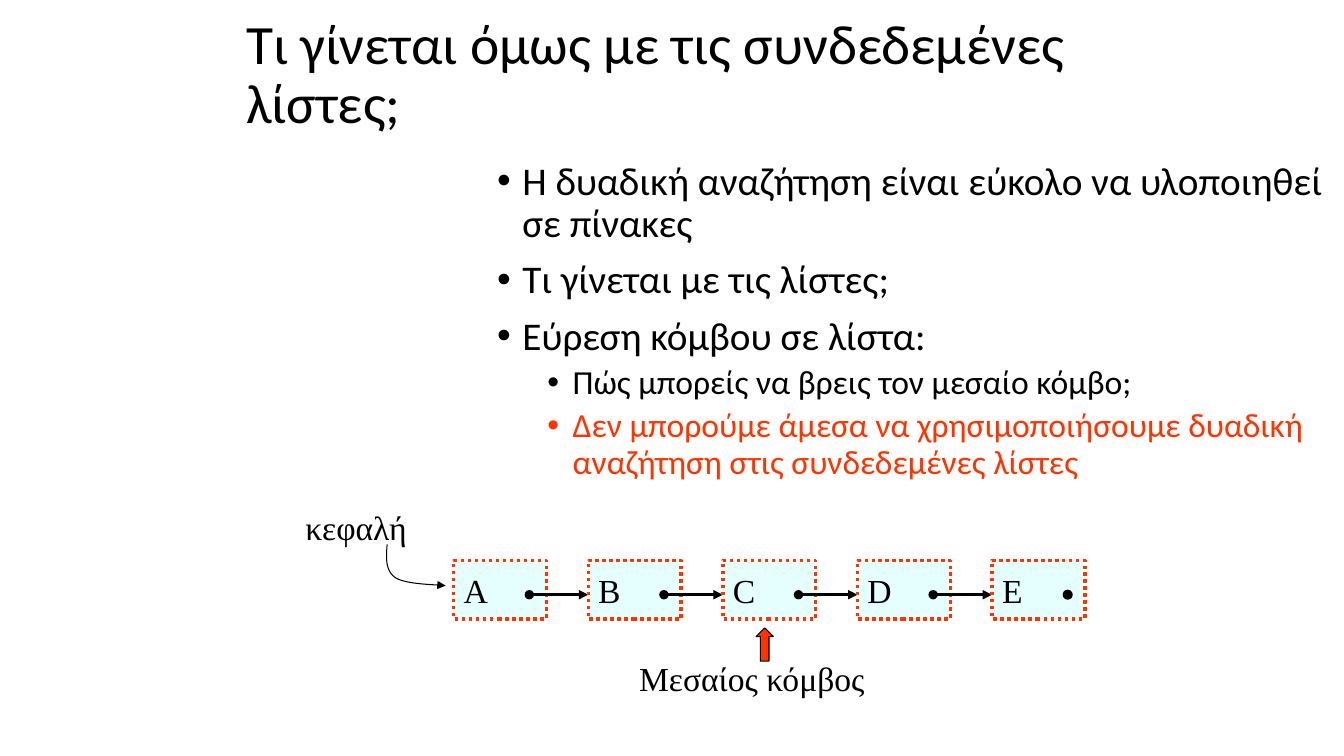
from dataclasses import dataclass

from lxml import etree
from pptx import Presentation
from pptx import util as u
from pptx.dml.color import RGBColor
from pptx.enum import dml, shapes, text
from pptx.oxml import ns

BLACK = RGBColor(0x00, 0x00, 0x00)
RED = RGBColor(0xFF, 0x33, 0x00)
CYAN = RGBColor(0xCC, 0xFF, 0xFF)
SANS, SERIF = "Calibri", "Times New Roman"

NODES = "ABCDE"
NODE_LEFT, LAST_NODE_LEFT, NODE_TOP = 4.5, 9.84, 5.56
NODE_STEP = (LAST_NODE_LEFT - NODE_LEFT) / (len(NODES) - 1)
NODE_W, NODE_H = 0.92, 0.58
POINTER_OFFSET, POINTER_Y = 0.75, 5.9
DOT_SIZE = 0.1


@dataclass
class Bullet:
    text: str
    level: int = 0
    color: RGBColor = BLACK


@dataclass
class Label:
    text: str
    left: float
    top: float
    width: float


BULLETS = [
    Bullet("Η δυαδική αναζήτηση είναι εύκολο να υλοποιηθεί σε πίνακες"),
    Bullet("Τι γίνεται με τις λίστες;"),
    Bullet("Εύρεση κόμβου σε λίστα:"),
    Bullet("Πώς μπορείς να βρεις τον μεσαίο κόμβο;", 1),
    Bullet("Δεν μπορούμε άμεσα να χρησιμοποιήσουμε δυαδική "
           "αναζήτηση στις συνδεδεμένες λίστες", 1, RED),
]
LABELS = [
    Label("κεφαλή", 2.93, 4.98, 1.4),
    Label("Μεσαίος κόμβος", 6.24, 6.48, 2.68),
]
HEAD_CURVES = [
    [(3.84, 5.4), (3.83, 5.53), (3.82, 5.66), (3.92, 5.73)],
    [(3.92, 5.73), (4.02, 5.8), (4.34, 5.8), (4.42, 5.81)],
]


def place(sp, left: float, top: float, width: float, height: float) -> None:
    sp.left, sp.top = u.Inches(left), u.Inches(top)
    sp.width, sp.height = u.Inches(width), u.Inches(height)


def format_text(p, font: str, size: float, color: RGBColor = BLACK) -> None:
    p.alignment = text.PP_ALIGN.LEFT
    for r in p.runs:
        r.font.name, r.font.size = font, u.Pt(size)
        r.font.color.rgb = color


def format_line(sp, width: float, color: RGBColor = BLACK) -> None:
    sp.line.color.rgb, sp.line.width = color, u.Pt(width)


def add_ends(sp, **ends: str) -> None:
    """Set headEnd and tailEnd shapes, in that order."""
    ln = sp.line._get_or_add_ln()
    for tag, kind in ends.items():
        etree.SubElement(ln, ns.qn(f"a:{tag}"), type=kind)


def add_bullet(p, level: int) -> None:
    pPr = p._p.get_or_add_pPr()
    pPr.set("marL", str(u.Inches(0.25 + 0.5 * level)))
    pPr.set("indent", str(u.Inches(-0.25)))
    etree.SubElement(pPr, ns.qn("a:buFont"), typeface="Arial")
    etree.SubElement(pPr, ns.qn("a:buChar"), char="•")


def add_filled(s, kind, fill: RGBColor, left: float, top: float,
               width: float, height: float):
    sp = s.shapes.add_shape(kind, 0, 0, 0, 0)
    place(sp, left, top, width, height)
    sp.shadow.inherit = False
    sp.fill.solid()
    sp.fill.fore_color.rgb = fill
    return sp


def add_node(s, name: str, left: float) -> None:
    sp = add_filled(s, shapes.MSO_SHAPE.RECTANGLE, CYAN,
                    left, NODE_TOP, NODE_W, NODE_H)
    srgb = sp.fill._xPr.find(".//" + ns.qn("a:srgbClr"))
    etree.SubElement(srgb, ns.qn("a:alpha"), val="50000")
    format_line(sp, 2.5, RED)
    sp.line.dash_style = dml.MSO_LINE.ROUND_DOT
    tf = sp.text_frame
    tf.text = name
    tf.vertical_anchor = text.MSO_ANCHOR.MIDDLE
    format_text(tf.paragraphs[0], SERIF, 24)


def add_pointer(s, start: float, end: float) -> None:
    y = u.Inches(POINTER_Y)
    line = s.shapes.add_connector(shapes.MSO_CONNECTOR.STRAIGHT,
                                  u.Inches(start), y, u.Inches(end), y)
    format_line(line, 2.25)
    add_ends(line, headEnd="oval", tailEnd="triangle")
    etree.SubElement(line._element.spPr, ns.qn("a:effectLst"))


def add_dot(s, center: float) -> None:
    dot = add_filled(s, shapes.MSO_SHAPE.OVAL, BLACK, center - DOT_SIZE / 2,
                     POINTER_Y - DOT_SIZE / 2, DOT_SIZE, DOT_SIZE)
    dot.line.fill.background()


def curve_points(curve: list, steps: int = 12) -> list:
    """Sample a cubic Bezier curve in EMU, leaving out its start."""
    points = []
    for t in (i / steps for i in range(1, steps + 1)):
        weights = ((1 - t) ** 3, 3 * t * (1 - t) ** 2, 3 * t * t * (1 - t), t ** 3)
        points.append(tuple(u.Inches(sum(w * pt[axis] for w, pt in zip(weights, curve)))
                            for axis in (0, 1)))
    return points


def add_label(s, label: Label) -> None:
    sp = s.shapes.add_textbox(0, 0, 0, 0)
    place(sp, label.left, label.top, label.width, 0.5)
    tf = sp.text_frame
    tf.word_wrap = True
    tf.text = label.text
    format_text(tf.paragraphs[0], SERIF, 24)


def main() -> None:
    prs = Presentation()
    prs.slide_width, prs.slide_height = u.Inches(13.33), u.Inches(7.5)
    s = prs.slides.add_slide(prs.slide_layouts[1])

    # Title
    title = s.shapes.title
    place(title, 2.34, 0.13, 8.5, 1.25)
    tf = title.text_frame
    tf.text = "Τι γίνεται όμως με τις συνδεδεμένες λίστες;"
    tf.auto_size = text.MSO_AUTO_SIZE.NONE
    tf.vertical_anchor = text.MSO_ANCHOR.MIDDLE
    tf.paragraphs[0].line_spacing = 0.9
    format_text(tf.paragraphs[0], SANS, 39.6)

    # Bulleted list
    body = s.placeholders[1]
    place(body, 4.83, 1.55, 8.5, 4.33)
    tf = body.text_frame
    tf.auto_size = text.MSO_AUTO_SIZE.NONE
    for i, bullet in enumerate(BULLETS):
        p = tf.add_paragraph() if i else tf.paragraphs[0]
        p.text, p.level = bullet.text, bullet.level
        add_bullet(p, bullet.level)
        p.line_spacing = 0.9
        p.space_before = u.Pt((5 if bullet.level else 10) if i else 0)
        format_text(p, SANS, 24 if bullet.level else 28, bullet.color)

    # Linked list nodes and pointers; the last node ends in a dot
    for i, name in enumerate(NODES):
        left = NODE_LEFT + i * NODE_STEP
        add_node(s, name, left)
        if i < len(NODES) - 1:
            add_pointer(s, left + POINTER_OFFSET, left + NODE_STEP)
        else:
            add_dot(s, left + POINTER_OFFSET)

    # Curved arrow from the head label
    x, y = HEAD_CURVES[0][0]
    builder = s.shapes.build_freeform(u.Inches(x), u.Inches(y))
    for curve in HEAD_CURVES:
        builder.add_line_segments(curve_points(curve), close=False)
    head_arrow = builder.convert_to_shape()
    head_arrow.shadow.inherit = False
    head_arrow.fill.background()
    format_line(head_arrow, 0.75)
    add_ends(head_arrow, tailEnd="triangle")

    # Arrow to the middle node
    middle = add_filled(s, shapes.MSO_SHAPE.UP_ARROW, RED, 7.5, 6.23, 0.17, 0.33)
    format_line(middle, 0.75)

    # Labels
    for label in LABELS:
        add_label(s, label)

    prs.save("out.pptx")


if __name__ == "__main__":
    main()
